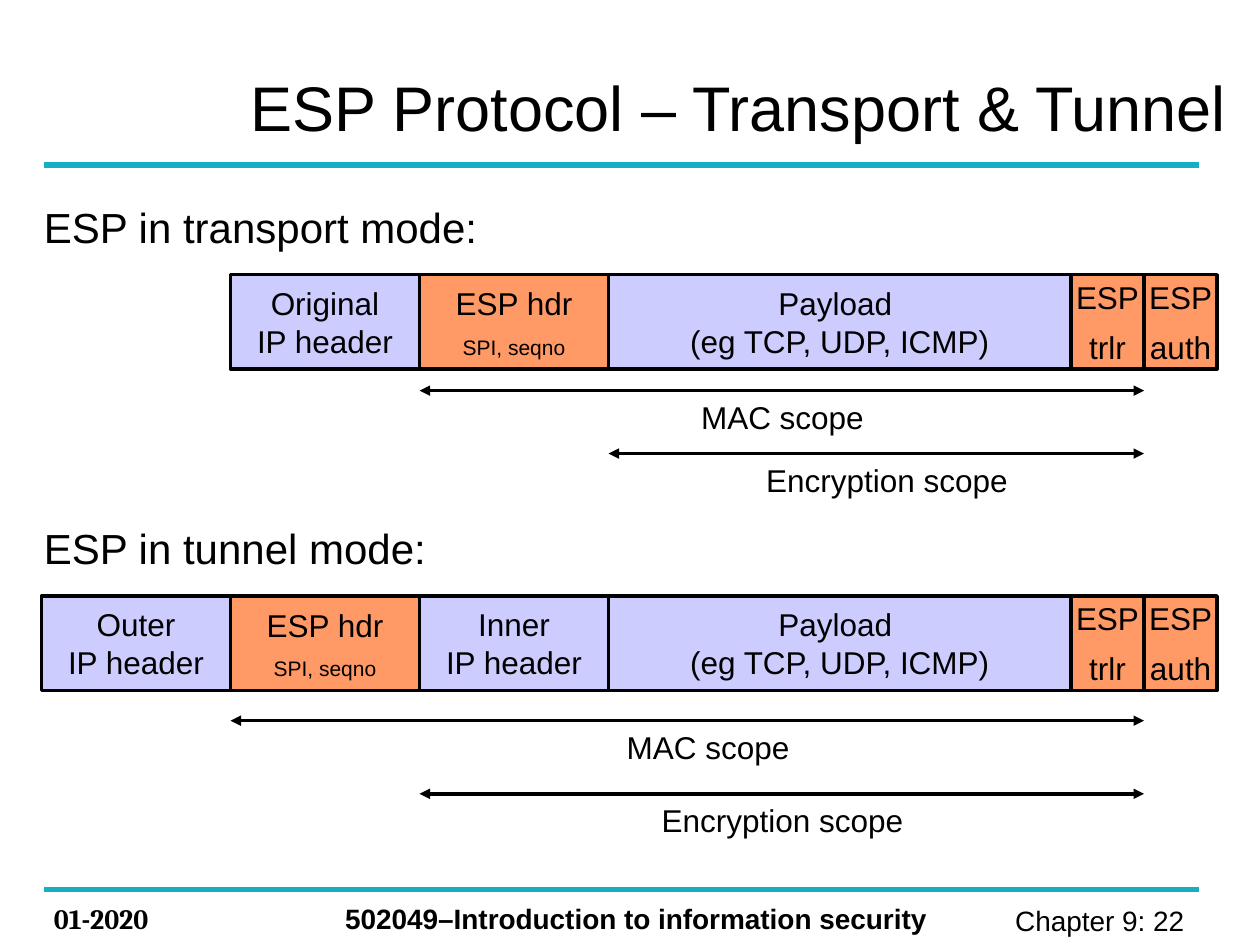
from lxml import etree
from pptx import Presentation
from pptx import util as u
from pptx.dml.color import RGBColor
from pptx.enum import shapes, text
from pptx.oxml.ns import qn

LILAC, ORANGE, TEAL, BLACK = "CCCCFF", "FF9966", "16AFC2", "000000"
LEFT, MID = text.PP_ALIGN.LEFT, text.PP_ALIGN.CENTER
IP, SMALL, WIDE = 1.5, 0.58, 3.67


def color(form, code):
    """Set a colour format from a hex string."""
    form.rgb = RGBColor.from_string(code)


def write(frame, lines, align=LEFT, gap=0, font="Arial", bold=False):
    """Write (words, size) lines with a gap between paragraphs."""
    for i, (words, size) in enumerate(lines):
        para = frame.paragraphs[0] if i == 0 else frame.add_paragraph()
        para.alignment = align
        para.space_before = u.Pt(gap if i else 0)
        run = para.add_run()
        run.text = words
        run.font.size, run.font.name, run.font.bold = u.Pt(size), font, bold
        color(run.font.color, BLACK)


def label(host, box, words, size, anchor=text.MSO_ANCHOR.TOP, **style):
    """Add a wrapped text box."""
    frame = host.shapes.add_textbox(*map(u.Inches, box)).text_frame
    frame.word_wrap = True
    frame.vertical_anchor = anchor
    write(frame, [(words, size)], **style)


def rule(host, left, right, y, code, width, heads=False):
    """Draw a level line, with arrowheads at both ends if asked."""
    line = host.shapes.add_connector(
        shapes.MSO_CONNECTOR.STRAIGHT, *map(u.Inches, (left, y, right, y)))
    color(line.line.color, code)
    line.line.width = u.Pt(width)
    etree.SubElement(line._element.spPr, qn("a:effectLst"))
    if heads:
        for tag in ("a:headEnd", "a:tailEnd"):
            etree.SubElement(line.line._get_or_add_ln(), qn(tag), type="triangle")


def cell(host, box, fill, lines, gap):
    """Draw one field of a packet."""
    field = host.shapes.add_shape(shapes.MSO_SHAPE.RECTANGLE, *map(u.Inches, box))
    field.shadow.inherit = False
    field.fill.solid()
    color(field.fill.fore_color, fill)
    color(field.line.color, BLACK)
    field.line.width = u.Pt(2)
    frame = field.text_frame
    frame.word_wrap = False
    frame.vertical_anchor = text.MSO_ANCHOR.MIDDLE
    write(frame, lines, MID, gap)


def header(kind):
    """Describe an IP header field."""
    return IP, LILAC, [(kind, 18), ("IP header", 18)], 0


def tail(kind):
    """Describe a closing ESP field."""
    return SMALL, ORANGE, [("ESP", 18), (kind, 18)], 7


HDR = (IP, ORANGE, [("ESP hdr", 18), ("SPI, seqno", 12)], 7)
LOAD = (WIDE, LILAC, [("Payload ", 18), ("(eg TCP, UDP, ICMP)", 18)], 0)
END = [LOAD, tail("trlr"), tail("auth")]


def packet(slide, x, top, title, fields, scopes):
    """Draw one mode: title, row of fields from x, and scope arrows."""
    group = slide.shapes.add_group_shape()
    label(group, (0.25, top, 4.33, 0.5), title, 24)
    edges = [x]
    for width, fill, lines, gap in fields:
        cell(group, (edges[-1], top + 0.63, width, 0.75), fill, lines, gap)
        edges.append(edges[-1] + width)
    for words, first, drop, left in scopes:
        y = top + drop
        rule(group, edges[first], edges[-2], y, BLACK, 2, True)
        label(group, (left, y + 0.01, 5.08, 0.4), words, 18, align=MID)


def frame(slide, title):
    """Draw the title, the two rules and the footer."""
    for y in (1.31, 7.06):
        rule(slide, 0.35, 9.52, y, TEAL, 3)
    label(slide, (1.89, 0.37, 8.11, 0.95), title, 36, text.MSO_ANCHOR.MIDDLE)
    label(slide, (0.33, 7.11, 1.33, 0.37), "01-2020", 16, font="Cambria", bold=True)
    label(slide, (2.64, 7.11, 5.04, 0.37),
          "502049–Introduction to information security", 16, bold=True)
    label(slide, (7.36, 7.12, 2.2, 0.37), "Chapter 9: 22 ", 16,
          align=text.PP_ALIGN.RIGHT)


def main():
    """Build and save the slide."""
    deck = Presentation()
    deck.slide_width, deck.slide_height = u.Inches(10), u.Inches(7.5)
    slide = deck.slides.add_slide(deck.slide_layouts[6])
    frame(slide, "ESP Protocol – Transport & Tunnel")
    packet(slide, 1.83, 1.55, "ESP in transport mode:",
           [header("Original"), HDR] + END,
           [("MAC scope", 1, 1.55, 3.67), ("Encryption scope", 2, 2.05, 4.5)])
    packet(slide, 0.33, 4.1, "ESP in tunnel mode:",
           [header("Outer"), HDR, header("Inner")] + END,
           [("MAC scope", 1, 1.62, 3.08), ("Encryption scope", 2, 2.2, 3.67)])
    deck.save("out.pptx")


main()
